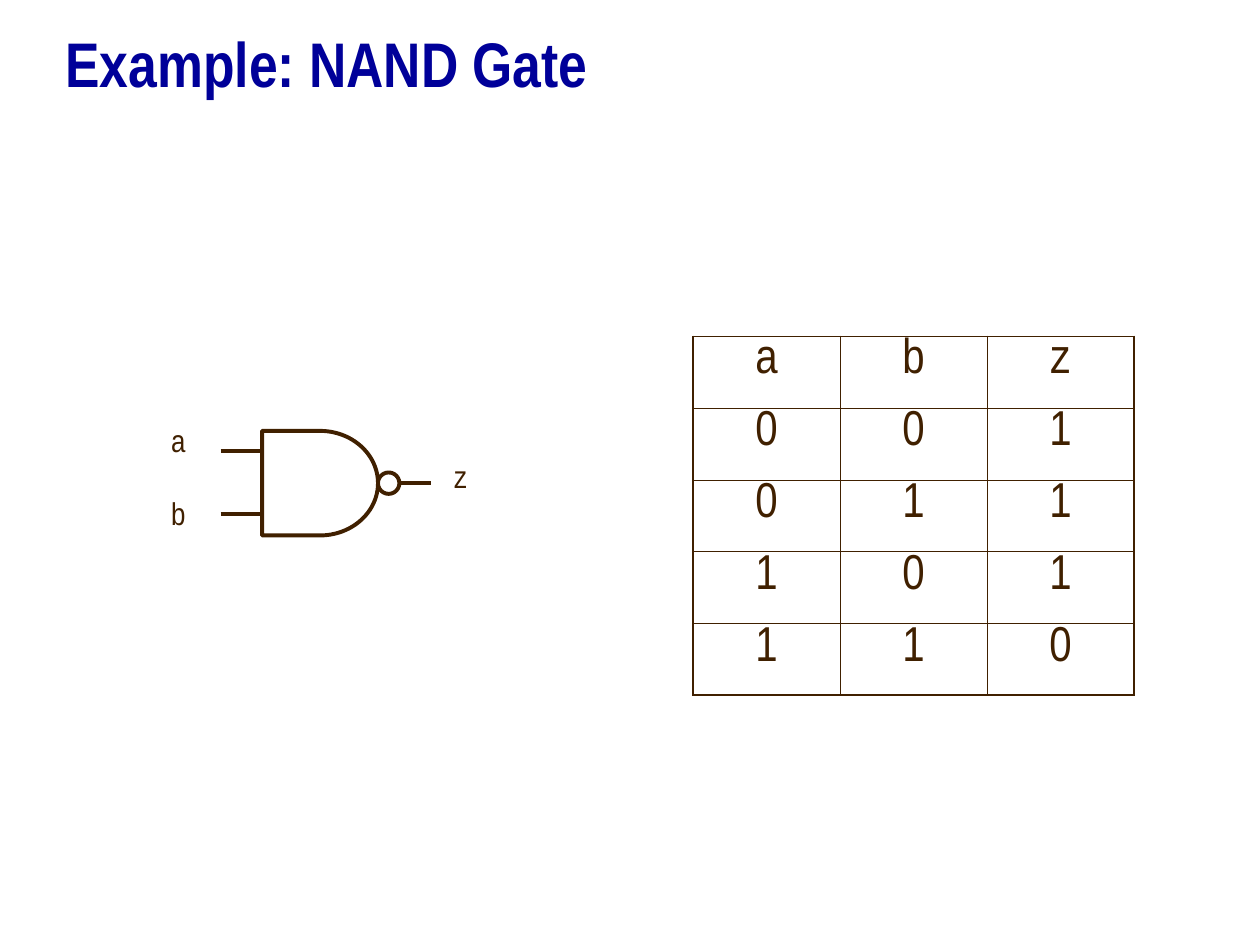
from dataclasses import dataclass

from lxml import etree
from pptx import Presentation
from pptx import util as u
from pptx.dml.color import RGBColor
from pptx.enum import shapes, text
from pptx.oxml import ns


@dataclass(frozen=True)
class Theme:
    font: str = "Arial Narrow"
    navy: str = "000099"
    brown: str = "402000"
    title: float = 36
    label: float = 18
    cell: float = 28
    wire: float = 2.25
    frame: float = 1.08
    grid: float = 0.45


class Board:
    """Draws styled elements on the current slide."""

    def __init__(self, slide, theme):
        self.slide, self.theme = slide, theme

    def style(self, frame, size, color, bold=False, align=text.PP_ALIGN.CENTER):
        for para in frame.paragraphs:
            para.alignment = align
            for run in para.runs:
                font = run.font
                font.name, font.size, font.bold = self.theme.font, u.Pt(size), bold
                font.color.rgb = RGBColor.from_string(color)

    def title(self, words, *box):
        shape = self.slide.shapes.title
        shape.left, shape.top, shape.width, shape.height = map(u.Inches, box)
        frame = shape.text_frame
        frame.text = words
        frame.word_wrap = True
        frame.auto_size = text.MSO_AUTO_SIZE.NONE
        frame.vertical_anchor = text.MSO_ANCHOR.MIDDLE
        self.style(frame, self.theme.title, self.theme.navy, True, text.PP_ALIGN.LEFT)

    def ink(self, line):
        line.color.rgb = RGBColor.from_string(self.theme.brown)
        line.width = u.Pt(self.theme.wire)

    def shape(self, kind, *box):
        shape = self.slide.shapes.add_shape(kind, *map(u.Inches, box))
        shape.shadow.inherit = False
        shape.fill.background()
        self.ink(shape.line)

    def wire(self, left, right, y):
        ends = map(u.Inches, (left, y, right, y))
        wire = self.slide.shapes.add_connector(shapes.MSO_CONNECTOR.STRAIGHT, *ends)
        self.ink(wire.line)
        etree.SubElement(wire._element.spPr, ns.qn("a:effectLst"))

    def label(self, words, *box):
        frame = self.slide.shapes.add_textbox(*map(u.Inches, box)).text_frame
        frame.text = words
        frame.word_wrap = False
        frame.auto_size = text.MSO_AUTO_SIZE.SHAPE_TO_FIT_TEXT
        self.style(frame, self.theme.label, self.theme.brown)

    def border(self, cell, side, width):
        props = cell._tc.get_or_add_tcPr()
        line = etree.SubElement(props, ns.qn(f"a:ln{side}"), w=str(u.Pt(width)))
        fill = etree.SubElement(line, ns.qn("a:solidFill"))
        etree.SubElement(fill, ns.qn("a:srgbClr"), val=self.theme.brown)

    def table(self, rows, *box):
        count, width = len(rows), len(rows[0])
        table = self.slide.shapes.add_table(count, width, *map(u.Inches, box)).table
        table.first_row = table.horz_banding = False
        for r, row in enumerate(rows):
            for c, value in enumerate(row):
                cell = table.cell(r, c)
                cell.text = value
                cell.text_frame.paragraphs[0].line_spacing = 0.85
                self.style(cell.text_frame, self.theme.cell, self.theme.brown)
                edges = {"L": c == 0, "R": c == width - 1, "T": r == 0, "B": r == count - 1}
                for side, outer in edges.items():
                    self.border(cell, side, self.theme.frame if outer else self.theme.grid)
                cell.fill.background()


def main():
    deck = Presentation()
    deck.slide_width, deck.slide_height = u.Inches(10), u.Inches(7.5)
    board = Board(deck.slides.add_slide(deck.slide_layouts[5]), Theme())
    board.title("Example: NAND Gate", 0.42, 0.08, 9.17, 0.83)

    board.shape(shapes.MSO_SHAPE.FLOWCHART_DELAY, 2.08, 3.42, 0.92, 0.83)
    for y in (3.58, 4.08):
        board.wire(1.75, 2.08, y)
    board.shape(shapes.MSO_SHAPE.OVAL, 3, 3.75, 0.17, 0.17)
    board.wire(3.17, 3.42, 3.83)

    inputs = [(a, b) for a in (0, 1) for b in (0, 1)]
    truth = [(str(a), str(b), str(1 - a * b)) for a, b in inputs]
    board.table([("a", "b", "z"), *truth], 5.5, 2.67, 3.5, 2.85)

    for name, x, y in (("a", 1.26, 3.29), ("b", 1.26, 3.87), ("z", 3.5, 3.58)):
        board.label(name, x, y, 0.31, 0.4)
    deck.save("out.pptx")


if __name__ == "__main__":
    main()
